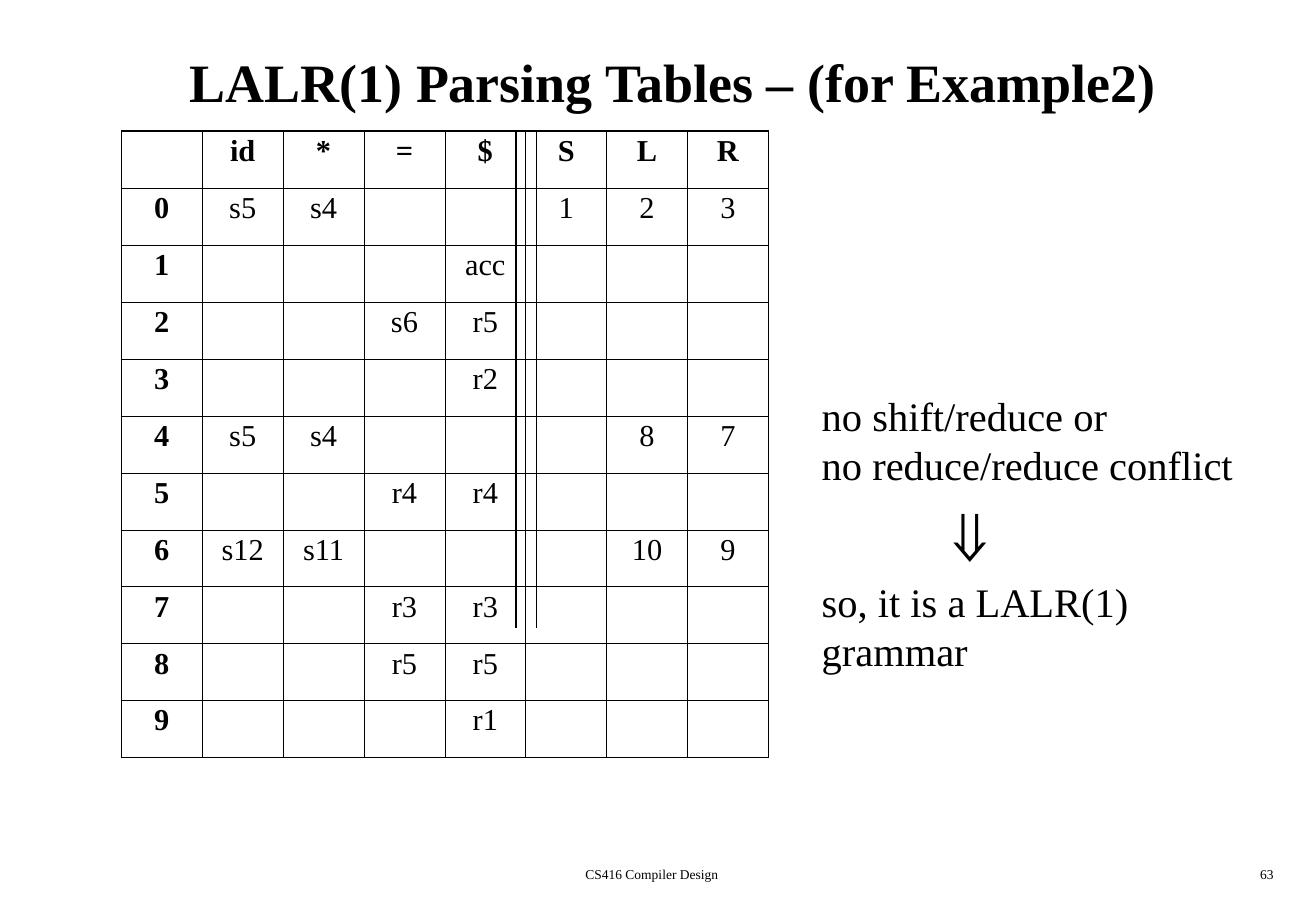
from lxml.etree import SubElement
from pptx import Presentation
from pptx.dml.color import RGBColor
from pptx.enum.shapes import MSO_CONNECTOR
from pptx.enum.text import MSO_ANCHOR, PP_ALIGN
from pptx.oxml import parse_xml
from pptx.oxml.ns import nsdecls, qn
from pptx.util import Pt

# Content
TITLE = "LALR(1) Parsing Tables – (for Example2)"
FOOTER = "CS416 Compiler Design"
PAGE = "63"
PARSING_TABLE = [
    ("", "id", "*", "=", "$", "S", "L", "R"),
    ("0", "s5", "s4", "", "", "1", "2", "3"),
    ("1", "", "", "", "acc", "", "", ""),
    ("2", "", "", "s6", "r5", "", "", ""),
    ("3", "", "", "", "r2", "", "", ""),
    ("4", "s5", "s4", "", "", "", "8", "7"),
    ("5", "", "", "r4", "r4", "", "", ""),
    ("6", "s12", "s11", "", "", "", "10", "9"),
    ("7", "", "", "r3", "r3", "", "", ""),
    ("8", "", "", "r5", "r5", "", "", ""),
    ("9", "", "", "", "r1", "", "", ""),
]
SERIF, SANS = "Times New Roman", "Arial"
CONCLUSION = [
    ("no shift/reduce or", 24, SERIF),
    ("no reduce/reduce conflict", 24, SERIF),
    ("\t⇓", 44, SANS),
    ("so, it is a LALR(1) grammar", 24, SERIF),
]
COLORS = {"ink": "000000", "paper": "FFFFFF"}

# Geometry: 100 px to the inch
SCALE = 9144
SLIDE_SIZE = (1084, 750)
TITLE_BOX = (42, 17, 1025, 100)
FOOTER_BOX = (334, 708, 406, 25)
PAGE_BOX = (833, 708, 226, 25)
CONCLUSION_BOX = (667, 317, 401, 204)
TABLE_BOX = (100, 108, 533, 516)
DIVIDER_XS = (442, 425)
DIVIDER_BOTTOM = 517
TAB_STOP = 100
THIN, THICK = 0.45, 1.08


def px(length):
    return round(length * SCALE)


def write(paragraph, text, size, name=SERIF, bold=False, align=PP_ALIGN.LEFT):
    paragraph.alignment = align
    run = paragraph.add_run()
    run.text = text
    for key, value in {"size": Pt(size), "name": name, "bold": bold}.items():
        setattr(run.font, key, value)
    run.font.color.rgb = RGBColor.from_string(COLORS["ink"])


def add_text_frame(slide, box, wrap=True, anchor=MSO_ANCHOR.TOP):
    frame = slide.shapes.add_textbox(*map(px, box)).text_frame
    frame.word_wrap = wrap
    frame.vertical_anchor = anchor
    return frame


def add_borders(cell, widths):
    properties = cell._tc.get_or_add_tcPr()
    for index, (side, width) in enumerate(widths.items()):
        border = parse_xml(
            f'<a:ln{side} {nsdecls("a")} w="{Pt(width)}"><a:solidFill>'
            f'<a:srgbClr val="{COLORS["ink"]}"/></a:solidFill></a:ln{side}>')
        properties.insert(index, border)


presentation = Presentation()
presentation.slide_width, presentation.slide_height = map(px, SLIDE_SIZE)
slide = presentation.slides.add_slide(presentation.slide_layouts[6])
slide.background.fill.solid()
slide.background.fill.fore_color.rgb = RGBColor.from_string(COLORS["paper"])

# Footer, page number and title
for text, box, size, bold, align, anchor in [
    (FOOTER, FOOTER_BOX, 8, False, PP_ALIGN.CENTER, MSO_ANCHOR.TOP),
    (PAGE, PAGE_BOX, 8, False, PP_ALIGN.RIGHT, MSO_ANCHOR.TOP),
    (TITLE, TITLE_BOX, 32, True, PP_ALIGN.CENTER, MSO_ANCHOR.MIDDLE),
]:
    frame = add_text_frame(slide, box, anchor=anchor)
    write(frame.paragraphs[0], text, size, bold=bold, align=align)

# Parsing table
row_count, column_count = len(PARSING_TABLE), len(PARSING_TABLE[0])
last_row, last_column = row_count - 1, column_count - 1
table = slide.shapes.add_table(row_count, column_count, *map(px, TABLE_BOX)).table
table.first_row = table.horz_banding = False
for column in table.columns:
    column.width = px(TABLE_BOX[2] / column_count)
for row_index, values in enumerate(PARSING_TABLE):
    table.rows[row_index].height = px(TABLE_BOX[3] / row_count)
    for column_index, value in enumerate(values):
        cell = table.cell(row_index, column_index)
        cell.fill.background()
        add_borders(cell, {
            "L": THICK if column_index == 0 else THIN,
            "R": THICK if column_index == last_column else THIN,
            "T": THICK if row_index == 0 else THIN,
            "B": THICK if row_index == last_row else THIN,
        })
        if value:
            paragraph = cell.text_frame.paragraphs[0]
            paragraph.line_spacing = 0.9
            write(paragraph, value, 18, bold=0 in (row_index, column_index),
                  align=PP_ALIGN.CENTER)

# Double rule between the action and goto columns
for x in DIVIDER_XS:
    divider = slide.shapes.add_connector(
        MSO_CONNECTOR.STRAIGHT, px(x), px(TABLE_BOX[1]), px(x), px(DIVIDER_BOTTOM))
    divider.line.color.rgb = RGBColor.from_string(COLORS["ink"])
    divider.line.width = Pt(0.75)
    SubElement(divider._element.spPr, qn("a:effectLst"))

# Conclusion
frame = add_text_frame(slide, CONCLUSION_BOX, wrap=False)
for index, (text, size, name) in enumerate(CONCLUSION):
    paragraph = frame.paragraphs[0] if index == 0 else frame.add_paragraph()
    if text.startswith("\t"):
        tabs = SubElement(paragraph._p.get_or_add_pPr(), qn("a:tabLst"))
        SubElement(tabs, qn("a:tab"), pos=str(px(TAB_STOP)), algn="l")
    write(paragraph, text, size, name)

presentation.save("out.pptx")
